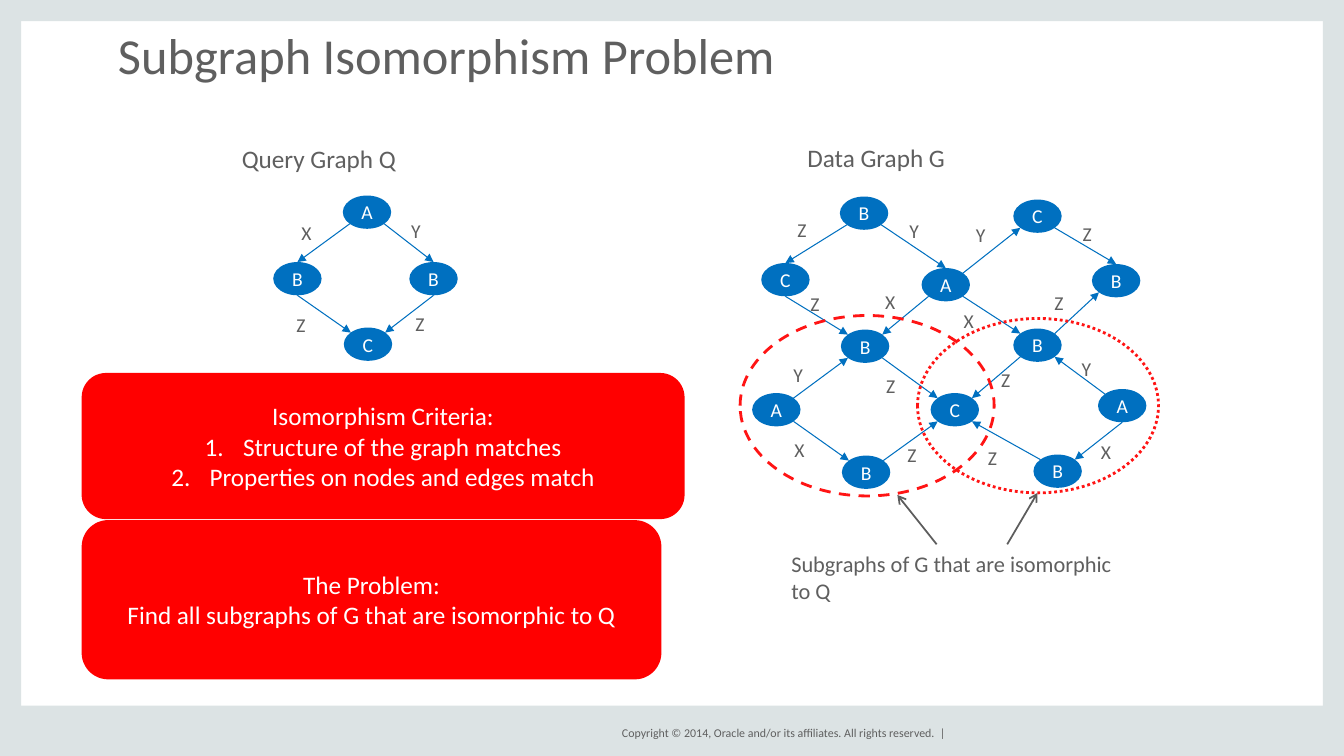
import pptx
import pptx.dml.color
import pptx.enum.dml
import pptx.enum.shapes
import pptx.enum.text
import pptx.oxml
import pptx.oxml.ns
import pptx.util

PX = 9144  # EMU per px, 100 px to the inch
THEME = {
    "font": "Calibri", "frame": "DCE3E4", "text": "5F5F5F", "white": "FFFFFF",
    "graph": "0070C0", "match": "FF1414", "panel": "FF0000", "pointer": "5D5D5D",
    "title_size": 36, "body_size": 18, "caption_size": 16, "label_size": 14,
    "footer_size": 8.5,
}
MSO_SHAPE = pptx.enum.shapes.MSO_SHAPE
ALIGN = pptx.enum.text.PP_ALIGN
DASH = pptx.enum.dml.MSO_LINE
rgb = pptx.dml.color.RGBColor.from_string

deck = pptx.Presentation()
deck.slide_width, deck.slide_height = 1333 * PX, 750 * PX
slide = deck.slides.add_slide(deck.slide_layouts[6])


def add_box(kind, box, fill=None, lines=(), size="body_size", color="text", align=ALIGN.LEFT):
    """Add a preset shape, or a text box when kind is None, with its text; box is in px."""
    place = [length * PX for length in box]
    if kind is None:
        shape = slide.shapes.add_textbox(*place)
    else:
        shape = slide.shapes.add_shape(kind, *place)
        shape.shadow.inherit = False
        shape.line.fill.background()
        if fill:
            shape.fill.solid()
            shape.fill.fore_color.rgb = rgb(THEME[fill])
        else:
            shape.fill.background()
        shape.text_frame.vertical_anchor = pptx.enum.text.MSO_ANCHOR.MIDDLE
    shape.text_frame.word_wrap = True
    shape.text_frame.text = "\n".join(lines)
    for paragraph in shape.text_frame.paragraphs:
        paragraph.alignment = align
        for run in paragraph.runs:
            run.font.name = THEME["font"]
            run.font.size = pptx.util.Pt(THEME[size])
            run.font.color.rgb = rgb(THEME[color])
    return shape


def add_arrow(start, end, color, width, head):
    arrow = slide.shapes.add_connector(
        pptx.enum.shapes.MSO_CONNECTOR.STRAIGHT, *[length * PX for length in (*start, *end)])
    arrow.line.color.rgb = rgb(THEME[color])
    arrow.line.width = pptx.util.Pt(width)
    tail = pptx.oxml.parse_xml(f'<a:tailEnd {pptx.oxml.ns.nsdecls("a")} type="{head}"/>')
    arrow.line._get_or_add_ln().append(tail)
    arrow._element.spPr.append(
        pptx.oxml.parse_xml(f'<a:effectLst {pptx.oxml.ns.nsdecls("a")}/>'))


# Grey frame, footer and title
for edge in [(0, 0, 21, 750), (1312, 0, 21, 750), (0, 700, 1333, 50), (0, 0, 1333, 21)]:
    add_box(MSO_SHAPE.RECTANGLE, edge, "frame")

footer = add_box(None, (588, 717, 350, 20),
                 lines=["Copyright © 2014, Oracle and/or its affiliates. All rights reserved.  |"],
                 size="footer_size", align=ALIGN.RIGHT)
footer.text_frame.vertical_anchor = pptx.enum.text.MSO_ANCHOR.MIDDLE
title = add_box(None, (117, 36, 1200, 59), lines=["Subgraph Isomorphism Problem"], size="title_size")
title.text_frame.paragraphs[0].line_spacing = 0.8
for flush in (footer.text_frame, title.text_frame):
    flush.margin_left = flush.margin_right = flush.margin_top = flush.margin_bottom = 0

# Nodes of both graphs: the last letter of each name is the node's label
NODE_W, NODE_H = 48, 33
nodes = {
    "query top A": (340, 194), "query right B": (406, 260),
    "query left B": (271, 260), "query bottom C": (341, 325),
    "top B": (833, 195), "top C": (1005, 198),
    "upper left C": (755, 261), "hub A": (914, 266), "upper right B": (1083, 262),
    "left B": (834, 327), "right B": (1005, 326),
    "outer left A": (746, 390), "shared C": (923, 390), "outer right A": (1089, 386),
    "lower left B": (835, 452), "lower right B": (1025, 451),
}
for name, corner in nodes.items():
    add_box(MSO_SHAPE.OVAL, (*corner, NODE_W, NODE_H), "graph", [name[-1]],
            "label_size", "white", ALIGN.CENTER)

# Points where edges meet a node, from its top left corner
sites = {
    "top": (24, 0), "bottom": (24, 33),
    "NW": (7, 5), "NE": (41, 5), "SW": (7, 28), "SE": (41, 28),
}
edges = [
    ("query top A", "SW", "query left B", "top"),
    ("query top A", "SE", "query right B", "top"),
    ("query left B", "bottom", "query bottom C", "NW"),
    ("query right B", "bottom", "query bottom C", "NE"),
    ("top B", "SW", "upper left C", "top"),
    ("top B", "SE", "hub A", "top"),
    ("upper left C", "bottom", "left B", "NW"),
    ("hub A", "SW", "left B", "NE"),
    ("hub A", "SE", "right B", "NW"),
    ("hub A", "NE", "top C", "SW"),
    ("top C", "SE", "upper right B", "top"),
    ("right B", "NE", "upper right B", "SW"),
    ("right B", "SW", "shared C", "NE"),
    ("left B", "SE", "shared C", "NW"),
    ("outer right A", "bottom", "lower right B", "NE"),
    ("outer right A", "NW", "right B", "SE"),
    ("lower right B", "NW", "shared C", "SE"),
    ("outer left A", "SE", "lower left B", "NW"),
    ("outer left A", "NE", "left B", "SW"),
    ("lower left B", "NE", "shared C", "SW"),
]
for source, leaving, target, entering in edges:
    start, end = [
        (nodes[name][0] + sites[site][0], nodes[name][1] + sites[site][1])
        for name, site in ((source, leaving), (target, entering))
    ]
    add_arrow(start, end, "graph", 0.75, "triangle")

edge_labels = {
    "X": [(289, 214), (1082, 432), (778, 430), (946, 302), (868, 283)],
    "Y": [(398, 212), (892, 212), (958, 216), (1063, 349), (777, 355)],
    "Z": [(402, 305), (284, 306), (781, 211), (1064, 215), (1036, 284), (970, 437),
          (983, 360), (890, 434), (869, 366), (794, 285)],
}
for label, corners in edge_labels.items():
    for corner in corners:
        add_box(None, (*corner, 38, 34), lines=[label], size="label_size")

# Matching subgraphs and captions
for outline, dash in [((734, 313, 252, 179), DASH.DASH),
                      ((910, 316, 239, 173), DASH.ROUND_DOT)]:
    match = add_box(MSO_SHAPE.OVAL, outline)
    match.line.color.rgb = rgb(THEME["match"])
    match.line.width = pptx.util.Pt(2)
    match.line.dash_style = dash

add_box(None, (230, 137, 270, 40), lines=["Query Graph Q"])
add_box(None, (791, 136, 270, 40), lines=["Data Graph G"])
add_box(None, (775, 541, 350, 64), lines=["Subgraphs of G that are isomorphic to Q"],
        size="caption_size")
add_arrow((929, 540), (890, 491), "pointer", 1.25, "arrow")
add_arrow((999, 540), (1029, 489), "pointer", 1.25, "arrow")

# Red panels
add_box(MSO_SHAPE.ROUNDED_RECTANGLE, (81, 516, 575, 158), "panel",
        ["The Problem:", "Find all subgraphs of G that are isomorphic to Q"],
        color="white", align=ALIGN.CENTER)
criteria = add_box(MSO_SHAPE.ROUNDED_RECTANGLE, (81, 370, 598, 145), "panel",
                   ["Isomorphism Criteria:", "Structure of the graph matches",
                    "Properties on nodes and edges match"],
                   color="white", align=ALIGN.CENTER)
for criterion in criteria.text_frame.paragraphs[1:]:
    numbering = criterion._p.get_or_add_pPr()
    numbering.set("marL", str(38 * PX))
    numbering.set("indent", str(-38 * PX))
    for bullet in ('buFont {} typeface="+mj-lt"', 'buAutoNum {} type="arabicPeriod"'):
        numbering.append(pptx.oxml.parse_xml(f'<a:{bullet.format(pptx.oxml.ns.nsdecls("a"))}/>'))

deck.save("out.pptx")
